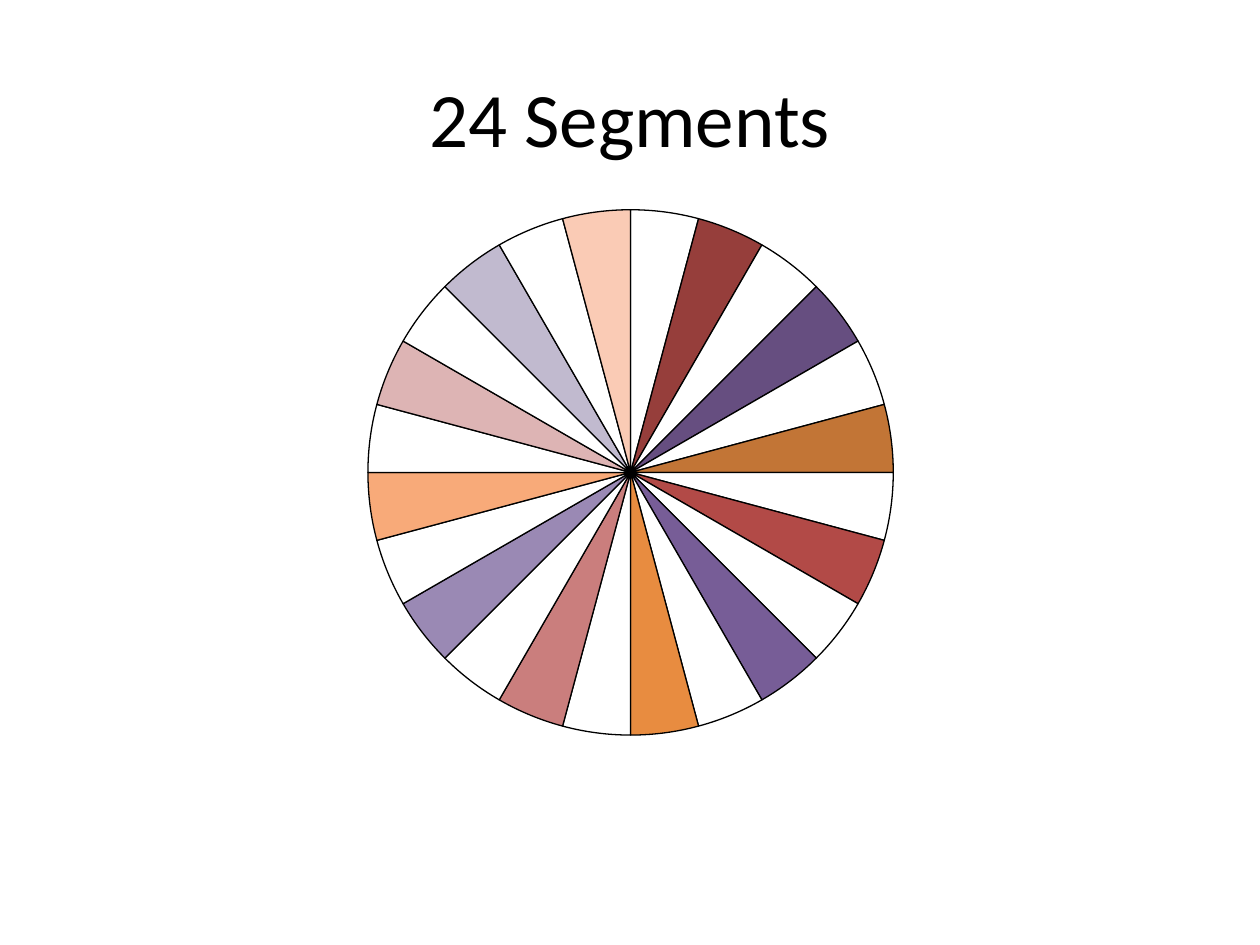
from lxml import etree
from pptx import Presentation
from pptx.chart.data import CategoryChartData
from pptx.dml.color import RGBColor
from pptx.enum.chart import XL_CHART_TYPE
from pptx.enum.text import MSO_ANCHOR, PP_ALIGN
from pptx.oxml.ns import qn
from pptx.util import Inches, Pt

PIE = XL_CHART_TYPE.PIE
MIDDLE = MSO_ANCHOR.MIDDLE
CENTER = PP_ALIGN.CENTER

TITLE = "24 Segments"
FONT = "Calibri"
BLACK = "000000"
WHITE = "FFFFFF"
SEGMENT_VALUE = 4
SEGMENT_COLORS = [
    "963E3B", "664E80", "C27536", "B24A47", "775D97", "E88C40",
    "CA7E7D", "9A89B4", "F8AA79", "DDB4B4", "C1BACF", "FACBB5",
]
CHART_WIDTH, CHART_HEIGHT = 6.67, 4.44
PIE_DIAMETER = 4.17


def rgb(color):
    return RGBColor.from_string(color)


def style_font(font, size):
    font.name = FONT
    font.size = Pt(size)
    font.color.rgb = rgb(BLACK)


def add_title(slide):
    shape = slide.shapes.add_textbox(Inches(0.5), Inches(0.3), Inches(9), Inches(1.25))
    text_frame = shape.text_frame
    text_frame.word_wrap = True
    text_frame.vertical_anchor = MIDDLE
    text_frame.text = TITLE
    paragraph = text_frame.paragraphs[0]
    paragraph.alignment = CENTER
    style_font(paragraph.runs[0].font, 44)


def place_pie(chart):
    plot_area = chart.plots[0]._element.getparent()
    for layout in plot_area.findall(qn("c:layout")):
        plot_area.remove(layout)
    layout = etree.Element(qn("c:layout"))
    manual = etree.SubElement(layout, qn("c:manualLayout"))
    width = PIE_DIAMETER / CHART_WIDTH
    height = PIE_DIAMETER / CHART_HEIGHT
    settings = {
        "layoutTarget": "inner", "xMode": "edge", "yMode": "edge",
        "x": (1 - width) / 2, "y": (1 - height) / 2, "w": width, "h": height,
    }
    for name, value in settings.items():
        etree.SubElement(manual, qn(f"c:{name}")).set("val", str(value))
    plot_area.insert(0, layout)


def add_wheel(slide):
    colors = [color for pair in SEGMENT_COLORS for color in (WHITE, pair)]
    data = CategoryChartData()
    data.categories = [str(number) for number in range(1, len(colors) + 1)]
    data.add_series("Series 1", [SEGMENT_VALUE] * len(colors))
    chart = slide.shapes.add_chart(
        PIE, Inches(1.67), Inches(1.53), Inches(CHART_WIDTH), Inches(CHART_HEIGHT), data
    ).chart
    chart.has_title = False
    chart.has_legend = False
    style_font(chart.font, 18)
    plot = chart.plots[0]
    plot.vary_by_categories = True
    series = plot.series[0]
    for index, color in enumerate(colors):
        point_format = series.points[index].format
        point_format.fill.solid()
        point_format.fill.fore_color.rgb = rgb(color)
        point_format.line.color.rgb = rgb(BLACK)
        point_format.line.width = Pt(0.75)
    place_pie(chart)


def main():
    presentation = Presentation()
    presentation.slide_width = Inches(10)
    presentation.slide_height = Inches(7.5)
    slide = presentation.slides.add_slide(presentation.slide_layouts[6])
    add_wheel(slide)
    add_title(slide)
    presentation.save("out.pptx")


if __name__ == "__main__":
    main()
